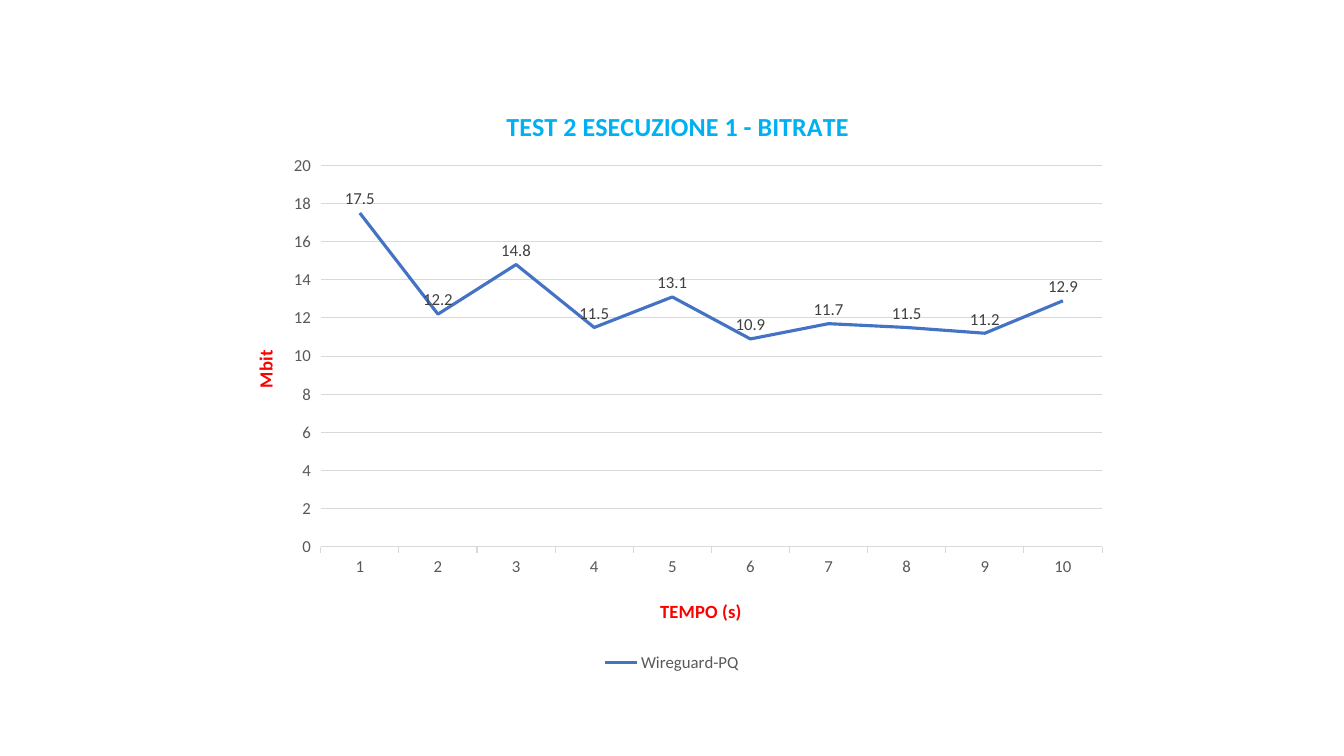
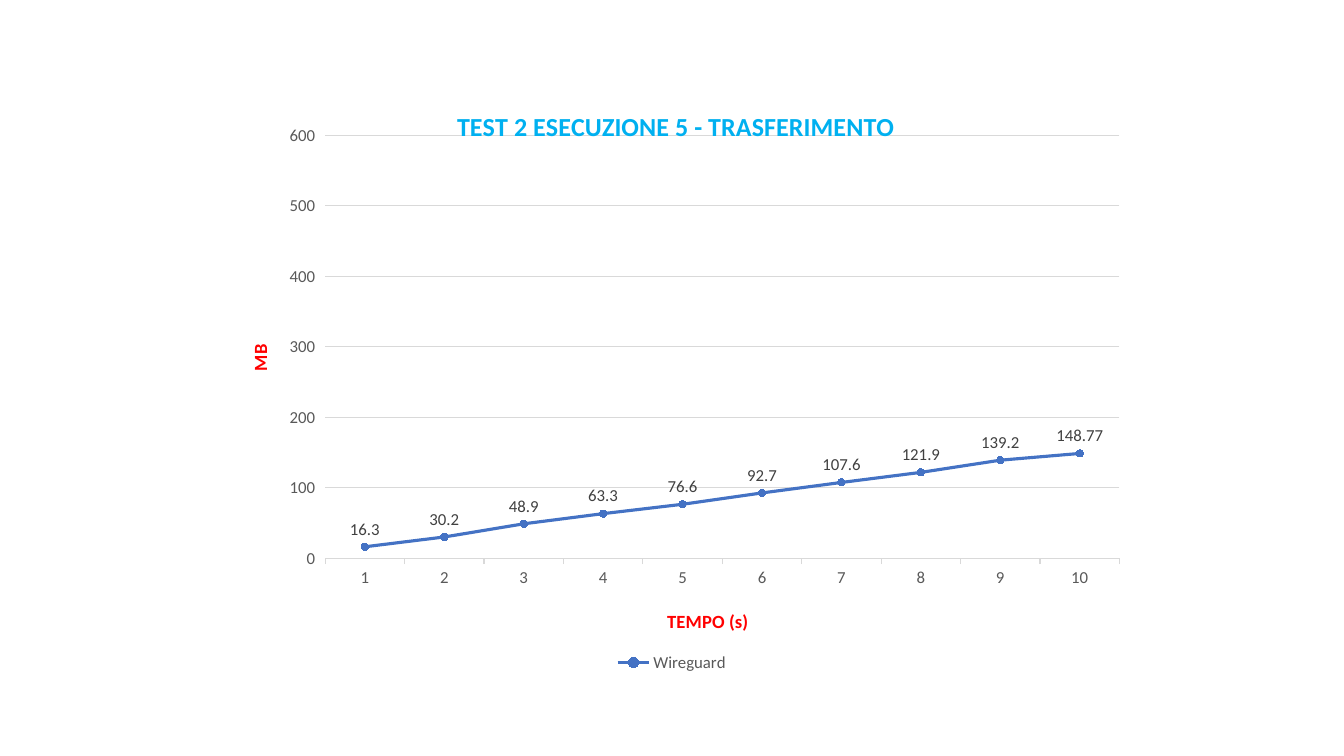
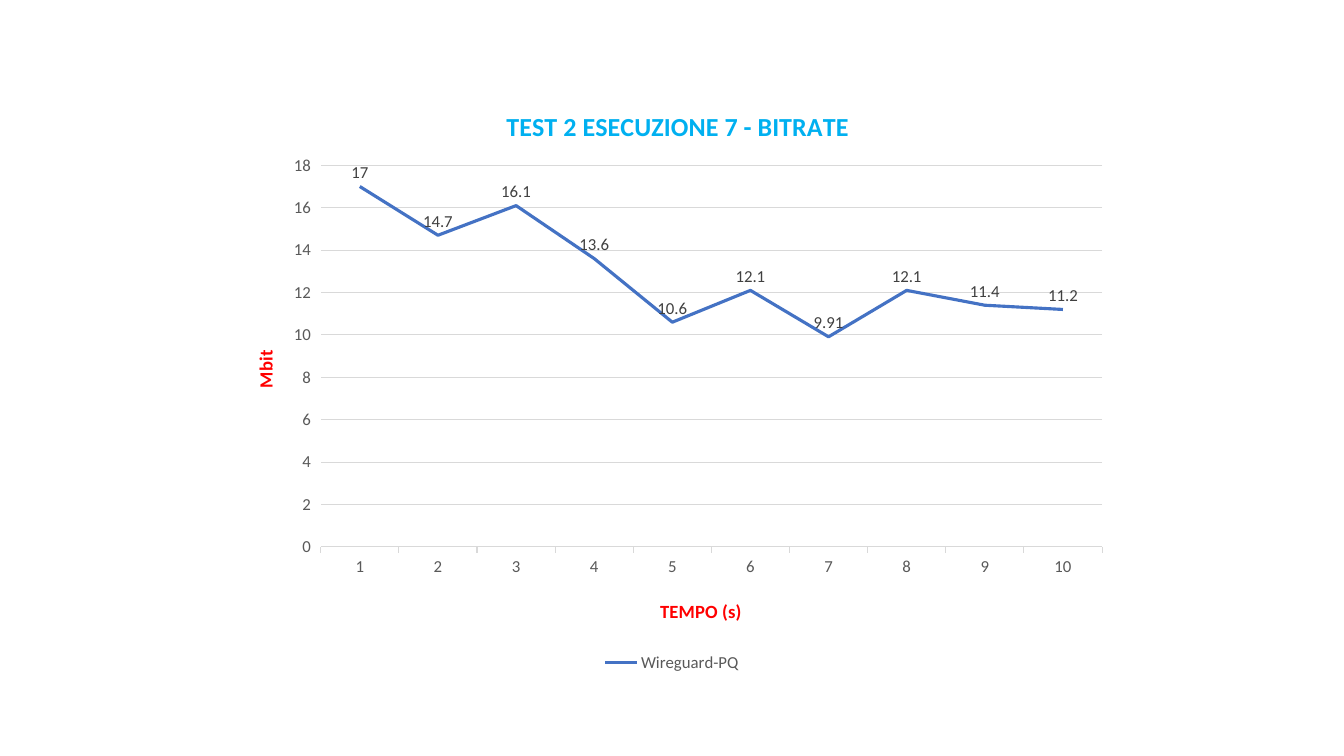
import pptx
import pptx.chart.data
import pptx.dml.color
import pptx.enum.chart
import pptx.oxml
import pptx.oxml.ns
import pptx.util
from pptx.util import Cm

CYAN = pptx.dml.color.RGBColor(0x00, 0xB0, 0xF0)
RED = pptx.dml.color.RGBColor(0xFF, 0x00, 0x00)
BLUE = pptx.dml.color.RGBColor(0x44, 0x72, 0xC4)
BLACK = pptx.dml.color.RGBColor(0x00, 0x00, 0x00)
DARK_GREY = pptx.dml.color.RGBColor(0x40, 0x40, 0x40)
GREY = pptx.dml.color.RGBColor(0x59, 0x59, 0x59)
LIGHT_GREY = pptx.dml.color.RGBColor(0xD9, 0xD9, 0xD9)

FONT = "Calibri"
SLIDE_WIDTH, SLIDE_HEIGHT = Cm(33.87), Cm(19.05)
CHART_WIDTH, CHART_HEIGHT = Cm(22.58), Cm(15.05)
CHART_BOX = (
    (SLIDE_WIDTH - CHART_WIDTH) // 2,
    (SLIDE_HEIGHT - CHART_HEIGHT) // 2,
    CHART_WIDTH,
    CHART_HEIGHT,
)
SECONDS = [str(second) for second in range(1, 11)]

BITRATE = {
    "kind": pptx.enum.chart.XL_CHART_TYPE.LINE,
    "series": "Wireguard-PQ",
    "unit": "Mbit",
    "top": None,
    "plot_at": (0.108, 0.144, 0.872, 0.639),
    "title_at": (0.31, 0.04),
    "time_at": (0.483, 0.863),
    "unit_at": (0.028, 0.448),
}
TRANSFER = {
    "kind": pptx.enum.chart.XL_CHART_TYPE.LINE_MARKERS,
    "series": "Wireguard",
    "unit": "MB",
    "top": 600,
    "plot_at": (0.113, 0.094, 0.887, 0.708),
    "title_at": (0.255, 0.04),
    "time_at": (0.491, 0.88),
    "unit_at": (0.022, 0.438),
}
RUNS = [
    ("TEST 2 ESECUZIONE 1 - BITRATE", BITRATE,
     (17.5, 12.2, 14.8, 11.5, 13.1, 10.9, 11.7, 11.5, 11.2, 12.9)),
    ("TEST 2 ESECUZIONE 5 - TRASFERIMENTO", TRANSFER,
     (16.3, 30.2, 48.9, 63.3, 76.6, 92.7, 107.6, 121.9, 139.2, 148.77)),
    ("TEST 2 ESECUZIONE 7 - BITRATE", BITRATE,
     (17, 14.7, 16.1, 13.6, 10.6, 12.1, 9.91, 12.1, 11.4, 11.2)),
]


def set_font(font, size, color, bold=False):
    """Apply the shared typeface with a size, colour and weight."""
    font.name = FONT
    font.size = pptx.util.Pt(size)
    font.bold = bold
    font.color.rgb = color


def set_line(line, color, width):
    """Give a line a solid colour and a width in points."""
    line.color.rgb = color
    line.width = pptx.util.Pt(width)


def set_layout(part, position):
    """Place a chart part by fractions of the chart area."""
    qn = pptx.oxml.ns.qn
    layout = part.find(qn("c:layout"))
    if layout is None:
        layout = pptx.oxml.parse_xml(f"<c:layout {pptx.oxml.ns.nsdecls('c')}/>")
        part.insert(0, layout)
    manual = layout.makeelement(qn("c:manualLayout"))
    layout.append(manual)
    settings = [("xMode", "edge"), ("yMode", "edge")]
    settings += zip("xywh", position)
    if len(position) == 4:
        settings.insert(0, ("layoutTarget", "inner"))
    for tag, value in settings:
        setting = manual.makeelement(qn(f"c:{tag}"), {"val": str(value)})
        manual.append(setting)


def write_title(title, text, size, color, position):
    """Write a bold chart or axis title at its place."""
    title.text_frame.text = text
    set_font(title.text_frame.paragraphs[0].font, size, color, bold=True)
    set_layout(title.element, position)


def style_axes(chart, style):
    """Format both axes, their titles and the gridlines."""
    seconds, amount = chart.category_axis, chart.value_axis
    for axis in (seconds, amount):
        axis.major_tick_mark = pptx.enum.chart.XL_TICK_MARK.OUTSIDE
        set_font(axis.tick_labels.font, 12, GREY)
    set_line(seconds.format.line, LIGHT_GREY, 0.75)
    amount.format.line.fill.background()
    set_line(amount.major_gridlines.format.line, LIGHT_GREY, 0.75)
    if style["top"]:
        amount.minimum_scale, amount.maximum_scale = 0, style["top"]
    write_title(seconds.axis_title, "TEMPO (s)", 13.3, RED, style["time_at"])
    write_title(amount.axis_title, style["unit"], 13.3, RED, style["unit_at"])
    body = amount.axis_title.element.find(".//" + pptx.oxml.ns.qn("a:bodyPr"))
    body.set("rot", "-5400000")
    body.set("vert", "horz")


def style_measurements(measurements, with_markers):
    """Format the measured line, its markers and its value labels."""
    measurements.smooth = False
    set_line(measurements.format.line, BLUE, 2.25)
    if with_markers:
        marker = measurements.marker
        marker.style = pptx.enum.chart.XL_MARKER_STYLE.CIRCLE
        marker.size = 5
        marker.format.fill.solid()
        marker.format.fill.fore_color.rgb = BLUE
        set_line(marker.format.line, BLUE, 0.75)
    labels = measurements.data_labels
    labels.show_value = True
    labels.position = pptx.enum.chart.XL_LABEL_POSITION.ABOVE
    set_font(labels.font, 12, DARK_GREY)


def add_run_chart(slide, box, title, style, values):
    """Draw the line chart of one test run inside the box."""
    measured = pptx.chart.data.CategoryChartData()
    measured.categories = SECONDS
    measured.add_series(style["series"], values)
    chart = slide.shapes.add_chart(style["kind"], *box, measured).chart
    set_font(chart.font, 10, BLACK)
    chart.has_title = True
    write_title(chart.chart_title, title, 18.6, CYAN, style["title_at"])
    chart.has_legend = True
    chart.legend.position = pptx.enum.chart.XL_LEGEND_POSITION.BOTTOM
    chart.legend.include_in_layout = False
    set_font(chart.legend.font, 12, GREY)
    style_axes(chart, style)
    run_plot = chart.plots[0]
    run_plot.vary_by_categories = False
    with_markers = style["kind"] == pptx.enum.chart.XL_CHART_TYPE.LINE_MARKERS
    style_measurements(run_plot.series[0], with_markers)
    set_layout(chart.element.chart.plotArea, style["plot_at"])


def main():
    """Build one slide for each test run and save the deck."""
    deck = pptx.Presentation()
    deck.slide_width, deck.slide_height = SLIDE_WIDTH, SLIDE_HEIGHT
    for title, style, values in RUNS:
        slide = deck.slides.add_slide(deck.slide_layouts[6])
        add_run_chart(slide, CHART_BOX, title, style, values)
    deck.save("out.pptx")


if __name__ == "__main__":
    main()
